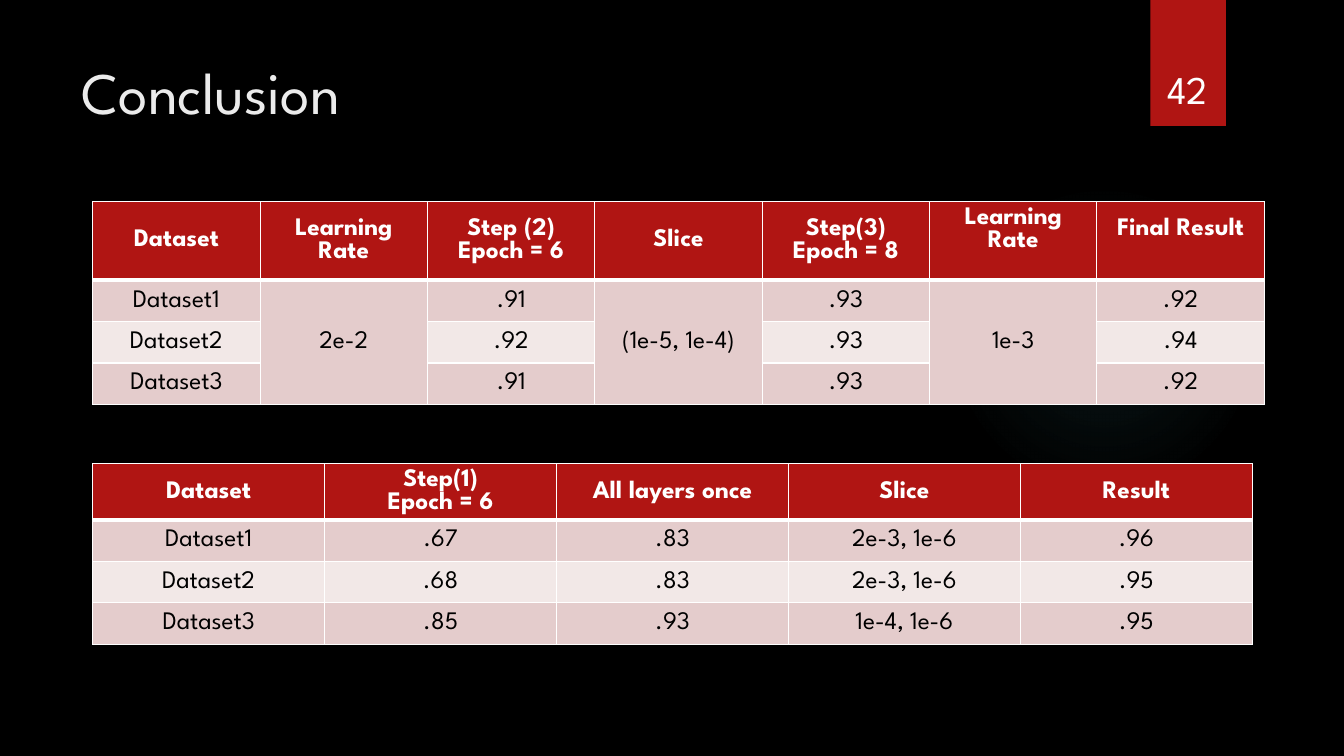
import pptx
import pptx.util
import pptx.dml.color
import pptx.enum.shapes
import pptx.enum.text
import pptx.oxml
import pptx.oxml.ns

BLACK = pptx.dml.color.RGBColor(0x00, 0x00, 0x00)
WHITE = pptx.dml.color.RGBColor(0xFF, 0xFF, 0xFF)
PALE = pptx.dml.color.RGBColor(0xEB, 0xEB, 0xEB)
RED = pptx.dml.color.RGBColor(0xB0, 0x15, 0x13)
ROSE = pptx.dml.color.RGBColor(0xE4, 0xCC, 0xCC)
BLUSH = pptx.dml.color.RGBColor(0xF2, 0xE8, 0xE7)
TEAL = pptx.dml.color.RGBColor(0x50, 0xB9, 0xC1)
FONT = "League Spartan"
CENTER = pptx.enum.text.PP_ALIGN.CENTER
LEFT = pptx.enum.text.PP_ALIGN.LEFT
INCH = pptx.util.Inches
NAMESPACE = pptx.oxml.ns.nsdecls("a")


def write(frame, text, align, size, color, bold=False):
    for index, line in enumerate(text.split("\n")):
        para = frame.paragraphs[0] if index == 0 else frame.add_paragraph()
        para.alignment = align
        span = para.add_run()
        span.text = line
        span.font.color.rgb = color
        for name, value in {"name": FONT, "size": pptx.util.Pt(size), "bold": bold}.items():
            setattr(span.font, name, value)


def draw_borders(cell, widths):
    properties = cell._tc.get_or_add_tcPr()
    for index, (side, width) in enumerate(widths.items()):
        line = pptx.oxml.parse_xml(
            f'<a:ln{side} {NAMESPACE} w="{pptx.util.Pt(width)}"><a:solidFill>'
            f'<a:srgbClr val="{WHITE}"/></a:solidFill></a:ln{side}>')
        properties.insert(index, line)


deck = pptx.Presentation()
deck.slide_width, deck.slide_height = INCH(13.33), INCH(7.5)
page = deck.slides.add_slide(deck.slide_layouts[5])
page.background.fill.solid()
page.background.fill.fore_color.rgb = BLACK

glow = page.shapes.add_shape(
    pptx.enum.shapes.MSO_SHAPE.OVAL, INCH(9.41), INCH(1.83), INCH(3.08), INCH(3.08))
glow.shadow.inherit = False
glow.line.fill.background()
glow.fill.gradient()
stops = "".join(
    f'<a:gs pos="{place * 1000}"><a:srgbClr val="{TEAL}">'
    f'<a:alpha val="{opacity * 1000}"/></a:srgbClr></a:gs>'
    for place, opacity in [(0, 7), (36, 6), (69, 0)])
gradient = pptx.oxml.parse_xml(
    f'<a:gradFill {NAMESPACE}><a:gsLst>{stops}</a:gsLst><a:path path="circle">'
    '<a:fillToRect l="50000" t="50000" r="50000" b="50000"/></a:path></a:gradFill>')
old_gradient = glow._element.spPr.find(pptx.oxml.ns.qn("a:gradFill"))
glow._element.spPr.replace(old_gradient, gradient)

ribbon = page.shapes.add_shape(
    pptx.enum.shapes.MSO_SHAPE.RECTANGLE, INCH(11.41), 0, INCH(0.75), INCH(1.25))
ribbon.shadow.inherit = False
ribbon.fill.solid()
ribbon.fill.fore_color.rgb = RED
ribbon.line.fill.background()

title = page.shapes.title
place = {"left": INCH(0.71), "top": INCH(0.5), "width": INCH(10.29), "height": INCH(1.53)}
for name, value in place.items():
    setattr(title, name, value)
title.text_frame.vertical_anchor = pptx.enum.text.MSO_ANCHOR.TOP
write(title.text_frame, "Conclusion", LEFT, 42, PALE)

step_rows = [
    ["Dataset", "Learning Rate", "Step (2)\nEpoch = 6", "Slice", "Step(3)\nEpoch = 8",
     "Learning Rate", "Final Result"],
    ["Dataset1", "2e-2", ".91", "(1e-5, 1e-4)", ".93", "1e-3", ".92"],
    ["Dataset2", "", ".92", "", ".93", "", ".94"],
    ["Dataset3", "", ".91", "", ".93", "", ".92"],
]
layer_rows = [
    ["Dataset", "Step(1)\nEpoch = 6", "All layers once", "Slice", "Result"],
    ["Dataset1", ".67", ".83", "2e-3, 1e-6", ".96"],
    ["Dataset2", ".68", ".83", "2e-3, 1e-6", ".95"],
    ["Dataset3", ".85", ".93", "1e-4, 1e-6", ".95"],
]
ROW_HEIGHT = 0.41
tables = [
    {"rows": step_rows, "top": 2, "column": 1.66, "header": 0.78, "merged": [1, 3, 5], "raised": [5, 6]},
    {"rows": layer_rows, "top": 4.6, "column": 2.3, "header": 0.56, "merged": [], "raised": []},
]
for plan in tables:
    rows = plan["rows"]
    count = len(rows[0])
    table = page.shapes.add_table(
        len(rows), count, INCH(0.92), INCH(plan["top"]), INCH(plan["column"] * count),
        INCH(plan["header"] + ROW_HEIGHT * (len(rows) - 1))).table
    for column in table.columns:
        column.width = INCH(plan["column"])
    for r, values in enumerate(rows):
        table.rows[r].height = INCH(ROW_HEIGHT if r else plan["header"])
        for c, value in enumerate(values):
            cell = table.cell(r, c)
            cell.vertical_anchor = pptx.enum.text.MSO_ANCHOR.MIDDLE
            cell.fill.solid()
            cell.fill.fore_color.rgb = RED if r == 0 else ROSE if r % 2 else BLUSH
            draw_borders(cell, {"L": 1, "R": 1, "T": 3 if r == 1 else 1, "B": 1 if r else 3})
            if value:
                write(cell.text_frame, value, CENTER, 18, BLACK if r else WHITE, r == 0)
    for c in plan["merged"]:
        table.cell(1, c).merge(table.cell(len(rows) - 1, c))
    for c in plan["raised"]:
        table.cell(0, c).margin_bottom = INCH(0.27)

number = page.shapes.add_textbox(INCH(11.32), INCH(0.32), INCH(0.92), INCH(0.84))
number.text_frame.word_wrap = True
number.text_frame.vertical_anchor = pptx.enum.text.MSO_ANCHOR.BOTTOM
write(number.text_frame, "42", CENTER, 28, WHITE)

deck.save("out.pptx")
